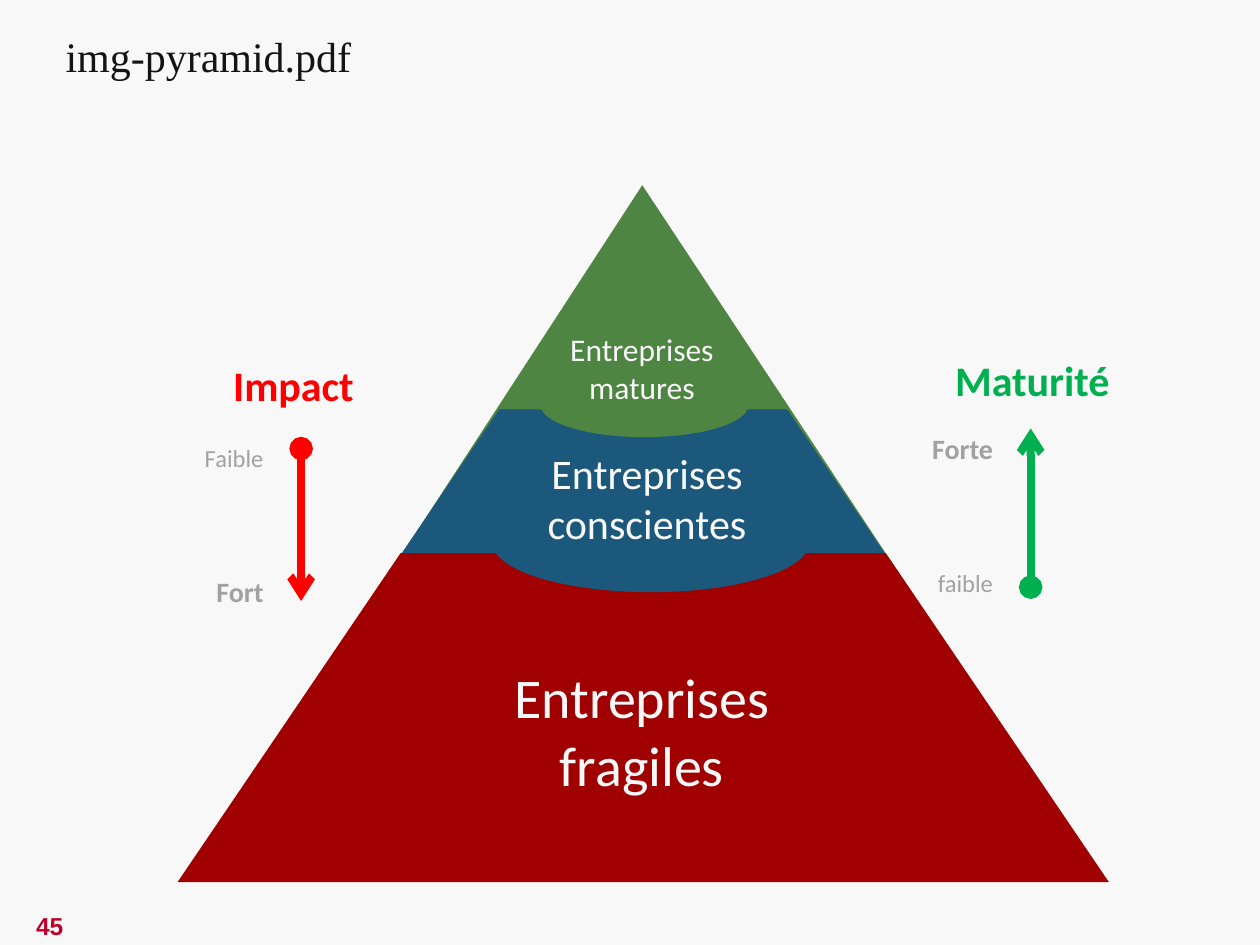
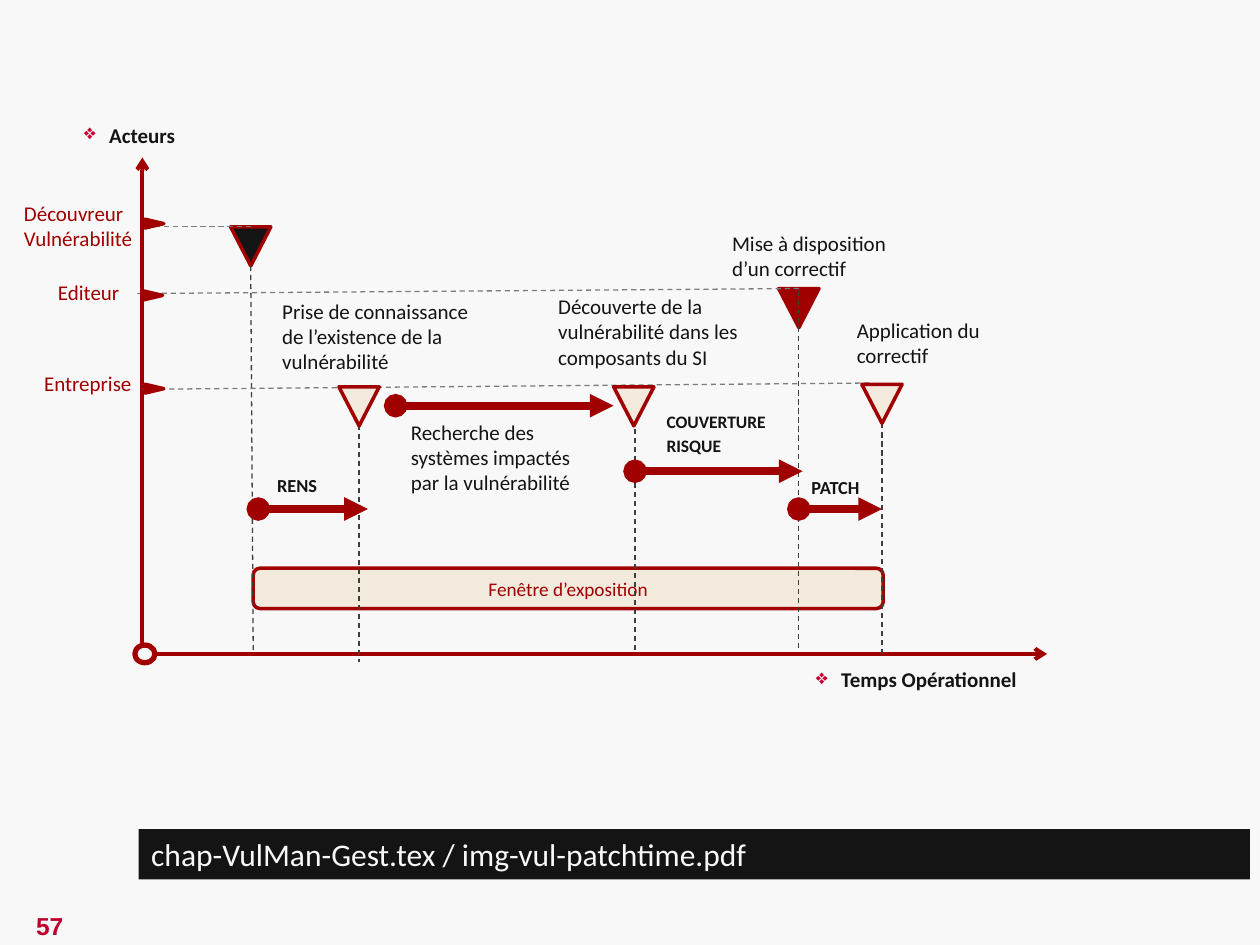
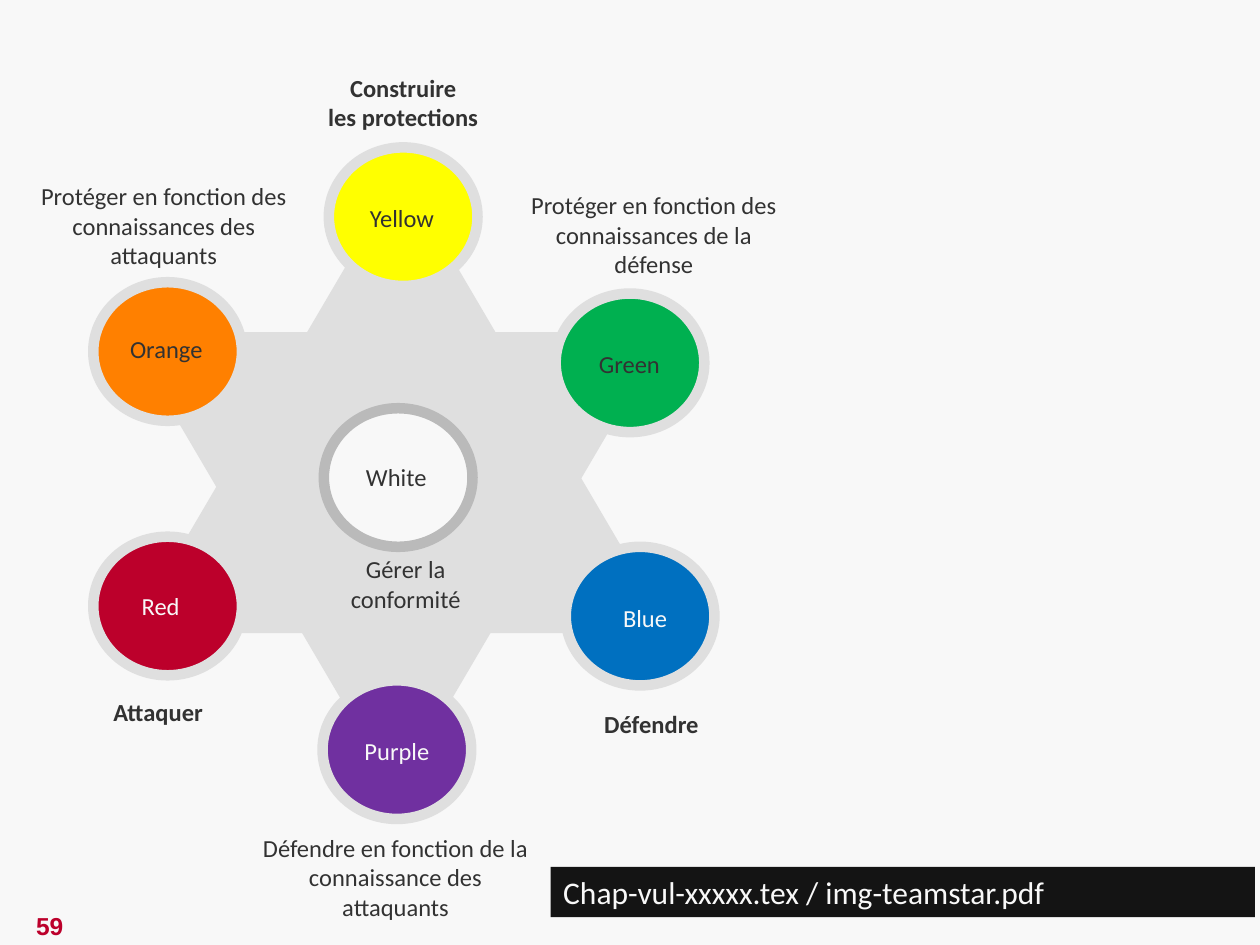
import pptx
import pptx.dml.color
import pptx.enum.dml
import pptx.enum.shapes
import pptx.enum.text
import pptx.oxml.ns
import pptx.util
from lxml import etree

Inches = pptx.util.Inches
Pt = pptx.util.Pt
MSO = pptx.enum.shapes.MSO_SHAPE
STRAIGHT = pptx.enum.shapes.MSO_CONNECTOR.STRAIGHT
ANCHOR = pptx.enum.text.MSO_ANCHOR
LEFT = pptx.enum.text.PP_ALIGN.LEFT
CENTER = pptx.enum.text.PP_ALIGN.CENTER
RIGHT = pptx.enum.text.PP_ALIGN.RIGHT
qn = pptx.oxml.ns.qn
rgb = pptx.dml.color.RGBColor.from_string

PAPER, INK, TEXT = "F8F8F8", "141414", "323232"
DARK_RED, RED, BLUE, GREEN = "A00000", "BC002B", "1B587C", "4E8542"
CREAM, SILVER, GREY = "F3EADE", "DFDFDF", "A1A1A1"
TIGHT = (0.07, 0.04)


def paint(sp, fill=None, line=None, width=1, dash=False, head=None, tail=None):
    if fill:
        sp.fill.solid()
        sp.fill.fore_color.rgb = rgb(fill)
    if line:
        sp.line.color.rgb = rgb(line)
        sp.line.width = Pt(width)
    else:
        sp.line.fill.background()
    if dash:
        sp.line.dash_style = pptx.enum.dml.MSO_LINE.DASH
    spPr = sp._element.spPr
    for tag, end in (("a:headEnd", head), ("a:tailEnd", tail)):
        if end:
            etree.SubElement(spPr.find(qn("a:ln")), qn(tag), type=end)
    etree.SubElement(spPr, qn("a:effectLst"))


def text(sp, content, size=14, color=TEXT, bold=False, align=LEFT, font="Calibri",
         margins=(0.1, 0.05), wrap=True, anchor=ANCHOR.TOP, gap=0, bullet=None):
    tf = sp.text_frame
    tf.word_wrap = wrap
    tf.auto_size = pptx.enum.text.MSO_AUTO_SIZE.NONE
    tf.vertical_anchor = anchor
    tf.margin_left = tf.margin_right = Inches(margins[0])
    tf.margin_top = tf.margin_bottom = Inches(margins[1])
    for i, row in enumerate(content.split("\n")):
        p = tf.add_paragraph() if i else tf.paragraphs[0]
        p.alignment = align
        if bullet:
            pPr = p._p.get_or_add_pPr()
            pPr.set("marL", str(Inches(0.2)))
            pPr.set("indent", str(-Inches(0.2)))
            buClr = etree.SubElement(pPr, qn("a:buClr"))
            etree.SubElement(buClr, qn("a:srgbClr"), val=bullet)
            etree.SubElement(pPr, qn("a:buChar"), char="❖")
        if i and gap:
            p.space_before = Pt(gap)
        r = p.add_run()
        r.text = row
        r.font.name = font
        r.font.size = Pt(size)
        r.font.bold = bold
        r.font.color.rgb = rgb(color)


prs = pptx.Presentation()
prs.slide_width = Inches(10)
prs.slide_height = Inches(7.5)
background = prs.slide_master.background.fill
background.solid()
background.fore_color.rgb = rgb(PAPER)

bar_style = {"size": 18, "color": PAPER}
slides = []
for number, title, box, bar, style in [
    ("45", "img-pyramid.pdf", (0.42, 0.19, 2.49, 0.5), None,
     {"size": 24, "color": INK, "font": "Times New Roman", "wrap": False}),
    ("57", "chap-VulMan-Gest.tex / img-vul-patchtime.pdf", (1.1, 6.58, 8.82, 0.4), INK, bar_style),
    ("59", "Chap-vul-xxxxx.tex / img-teamstar.pdf", (4.37, 6.88, 5.59, 0.4), INK, bar_style),
]:
    s = prs.slides.add_slide(prs.slide_layouts[5])
    sp = s.shapes.title
    sp.left, sp.top, sp.width, sp.height = map(Inches, box)
    paint(sp, bar)
    text(sp, title, **style)
    sp = s.shapes.add_textbox(Inches(-0.02), Inches(7.18), Inches(0.83), Inches(0.34))
    text(sp, number, color=RED, bold=True, align=CENTER, font="Arial", anchor=ANCHOR.MIDDLE)
    slides.append(s)
pyramid, timeline, star = slides

for kind, box, color, adj in [
    (MSO.ISOSCELES_TRIANGLE, (2.95, 1.47, 4.33, 3.3), GREEN, 0.496),
    (MSO.TRAPEZOID, (2.85, 3.25, 4.51, 1.64), BLUE, 0.678),
    (MSO.TRAPEZOID, (1.41, 4.39, 7.39, 2.61), DARK_RED, 0.678),
    (MSO.OVAL, (3.91, 3.92, 2.51, 0.78), BLUE, None),
    (MSO.OVAL, (4.29, 2.96, 1.65, 0.51), GREEN, None),
]:
    sp = pyramid.shapes.add_shape(kind, *map(Inches, box))
    if adj:
        sp.adjustments[0] = adj
    paint(sp, color)

for content, box, size, margins in [
    ("Entreprises fragiles", (3.81, 5.22, 2.57, 1.15), 32, TIGHT),
    ("Entreprises conscientes", (4.11, 3.51, 2.05, 0.88), 24, TIGHT),
    ("Entreprises\nmatures", (4.07, 2.57, 2.05, 0.71), 18, (0.1, 0.05)),
]:
    sp = pyramid.shapes.add_textbox(*map(Inches, box))
    text(sp, content, size=size, color=PAPER, align=CENTER, margins=margins)

for name, box, color, x, start, end in [
    ("Impact", (1.78, 2.81, 1.12, 0.48), "FF0000", 2.39, 3.56, 4.77),
    ("Maturité", (7.51, 2.77, 1.39, 0.48), "00B050", 8.18, 4.66, 3.4),
]:
    sp = pyramid.shapes.add_textbox(*map(Inches, box))
    text(sp, name, size=24, color=color, bold=True, margins=TIGHT, wrap=False)
    sp = pyramid.shapes.add_connector(STRAIGHT, *map(Inches, (x, start, x, end)))
    paint(sp, line=color, width=4.5, head="oval", tail="arrow")

for level, box, strong in [
    ("Faible", (1.52, 3.47, 0.67, 0.34), False),
    ("Fort", (1.52, 4.51, 0.67, 0.37), True),
    ("Forte", (7.28, 3.38, 0.7, 0.37), True),
    ("faible", (7.28, 4.46, 0.7, 0.34), False),
]:
    sp = pyramid.shapes.add_textbox(*map(Inches, box))
    text(sp, level, size=16 if strong else 14, color=GREY, bold=strong, align=RIGHT, wrap=False)

for end in [(8.31, 5.19), (1.13, 1.25)]:
    sp = timeline.shapes.add_connector(STRAIGHT, *map(Inches, (1.13, 5.19, *end)))
    paint(sp, line=DARK_RED, width=2.25, tail="arrow")
sp = timeline.shapes.add_shape(MSO.OVAL, *map(Inches, (1.07, 5.12, 0.16, 0.14)))
paint(sp, PAPER, DARK_RED, 3)

sp = timeline.shapes.add_shape(MSO.ROUNDED_RECTANGLE, *map(Inches, (2.01, 4.51, 5, 0.32)))
paint(sp, CREAM, DARK_RED, 2)
text(sp, "Fenêtre d’exposition", size=11, color=DARK_RED, align=CENTER, anchor=ANCHOR.MIDDLE)

markers = [(1.83, 1.8, INK), (6.18, 2.29, DARK_RED),
           (2.69, 3.07, CREAM), (4.87, 3.07, CREAM), (6.84, 3.05, CREAM)]
events = [(1.99, 2.11, 2.01, 5.19), (2.85, 3.37, 2.85, 5.25), (5.04, 3.33, 5.04, 5.18),
          (6.34, 2.31, 6.34, 5.18), (7, 3.36, 7, 5.21)]
actors = [(6.9, 3.04, 1.13, 3.09), (6.34, 2.29, 1.09, 2.33), (1.99, 1.8, 1.14, 1.8)]
for x, y, color in markers:
    if color == CREAM:
        continue
    sp = timeline.shapes.add_shape(MSO.ISOSCELES_TRIANGLE, *map(Inches, (x, y, 0.32, 0.31)))
    sp.rotation = 180
    paint(sp, color, DARK_RED, 2)
for color, guides in [("3E3E3E", events), ("7C7C7C", actors)]:
    for ends in guides:
        sp = timeline.shapes.add_connector(STRAIGHT, *map(Inches, ends))
        paint(sp, line=color, width=0.75, dash=True)
for x, y, color in markers:
    if color != CREAM:
        continue
    sp = timeline.shapes.add_shape(MSO.ISOSCELES_TRIANGLE, *map(Inches, (x, y, 0.32, 0.31)))
    sp.rotation = 180
    paint(sp, color, DARK_RED, 2)

for x, y in [(1.18, 2.27), (1.19, 1.7), (1.19, 3.01)]:
    sp = timeline.shapes.add_shape(MSO.ISOSCELES_TRIANGLE, *map(Inches, (x, y, 0.07, 0.15)))
    sp.rotation = 90
    paint(sp, DARK_RED, DARK_RED, 2)

for start, end, y in [(3.14, 4.87, 3.22), (2.05, 2.92, 4.04), (6.34, 7, 4.04), (5.04, 6.37, 3.74)]:
    sp = timeline.shapes.add_connector(STRAIGHT, *map(Inches, (start, y, end, y)))
    paint(sp, line=DARK_RED, width=4.5, head="oval", tail="triangle")

event = {"size": 12, "color": INK}
actor = {"size": 12, "color": DARK_RED}
phase = {"size": 10.5, "color": INK, "bold": True}
axis = {"size": 12, "color": INK, "bold": True, "align": RIGHT, "bullet": "C80032"}
for content, box, style in [
    ("Acteurs", (0.22, 0.93, 1.24, 0.53), axis),
    ("Temps Opérationnel", (5.33, 5.25, 2.81, 0.29), axis),
    ("Découvreur Vulnérabilité", (0.12, 1.55, 1.45, 0.25), actor),
    ("Editeur", (0.39, 2.18, 1.02, 0.25), actor),
    ("Entreprise", (0.28, 2.9, 1.02, 0.25), actor),
    ("Prise de connaissance de l’existence de la vulnérabilité", (2.17, 2.33, 1.8, 0.84), event),
    ("Recherche des systèmes impactés par la vulnérabilité", (3.19, 3.29, 1.52, 0.63), event),
    ("Découverte de la vulnérabilité dans les composants du SI", (4.36, 2.29, 1.67, 0.81), event),
    ("Application du correctif", (6.73, 2.48, 1.52, 0.81), event),
    ("Mise à disposition d’un correctif", (5.74, 1.79, 1.52, 0.81), event),
    ("RENS", (2.13, 3.72, 1.8, 0.26), phase),
    ("PATCH", (6.37, 3.74, 0.89, 0.26), phase),
    ("COUVERTURE\nRISQUE", (5.22, 3.22, 0.99, 0.44), {**phase, "size": 10, "gap": 2}),
]:
    sp = timeline.shapes.add_textbox(*map(Inches, box))
    text(sp, content, margins=TIGHT, **style)

for x, y, angle in [(1.06, 1.39, 0), (1.02, 2.65, 180)]:
    sp = star.shapes.add_shape(MSO.FLOWCHART_EXTRACT, *map(Inches, (x, y, 4.25, 3.62)))
    sp.rotation = angle
    paint(sp, SILVER, SILVER, 2)

for team, x, y, fill, ring, label, color in [
    ("Green", 4.41, 2.33, "00B050", SILVER, (4.65, 2.72, 0.69), TEXT),
    ("Yellow", 2.61, 1.17, "FFFF00", SILVER, (2.83, 1.56, 0.72), TEXT),
    ("Orange", 0.74, 2.24, "FF8000", SILVER, (0.93, 2.6, 0.78), TEXT),
    ("Red", 0.74, 4.26, RED, SILVER, (1.02, 4.64, 0.51), PAPER),
    ("Purple", 2.56, 5.4, "7030A0", SILVER, (2.79, 5.79, 0.72), PAPER),
    ("Blue", 4.49, 4.34, "0070C0", SILVER, (4.84, 4.74, 0.56), PAPER),
    ("White", 2.57, 3.24, PAPER, "BABABA", (2.8, 3.62, 0.69), TEXT),
]:
    sp = star.shapes.add_shape(MSO.OVAL, *map(Inches, (x, y, 1.18, 1.1)))
    paint(sp, fill, ring, 6)
    sp = star.shapes.add_textbox(*map(Inches, (*label, 0.34)))
    text(sp, team, color=color, align=CENTER, wrap=False)

for mission, box, strong in [
    ("Construire\nles protections", (2.5, 0.53, 1.4, 0.57), True),
    ("Défendre", (4.69, 5.58, 0.96, 0.34), True),
    ("Attaquer", (0.77, 5.48, 0.97, 0.34), True),
    ("Protéger en fonction des connaissances de la défense", (4.01, 1.46, 2.36, 0.81), False),
    ("Protéger en fonction des connaissances des attaquants", (0.16, 1.39, 2.28, 0.81), False),
    ("Gérer la\nconformité", (2.04, 4.35, 2.36, 0.57), False),
    ("Défendre en fonction de la connaissance des attaquants", (1.96, 6.56, 2.36, 0.81), False),
]:
    sp = star.shapes.add_textbox(*map(Inches, box))
    text(sp, mission, bold=strong, align=CENTER, wrap=not strong)

prs.save("out.pptx")
